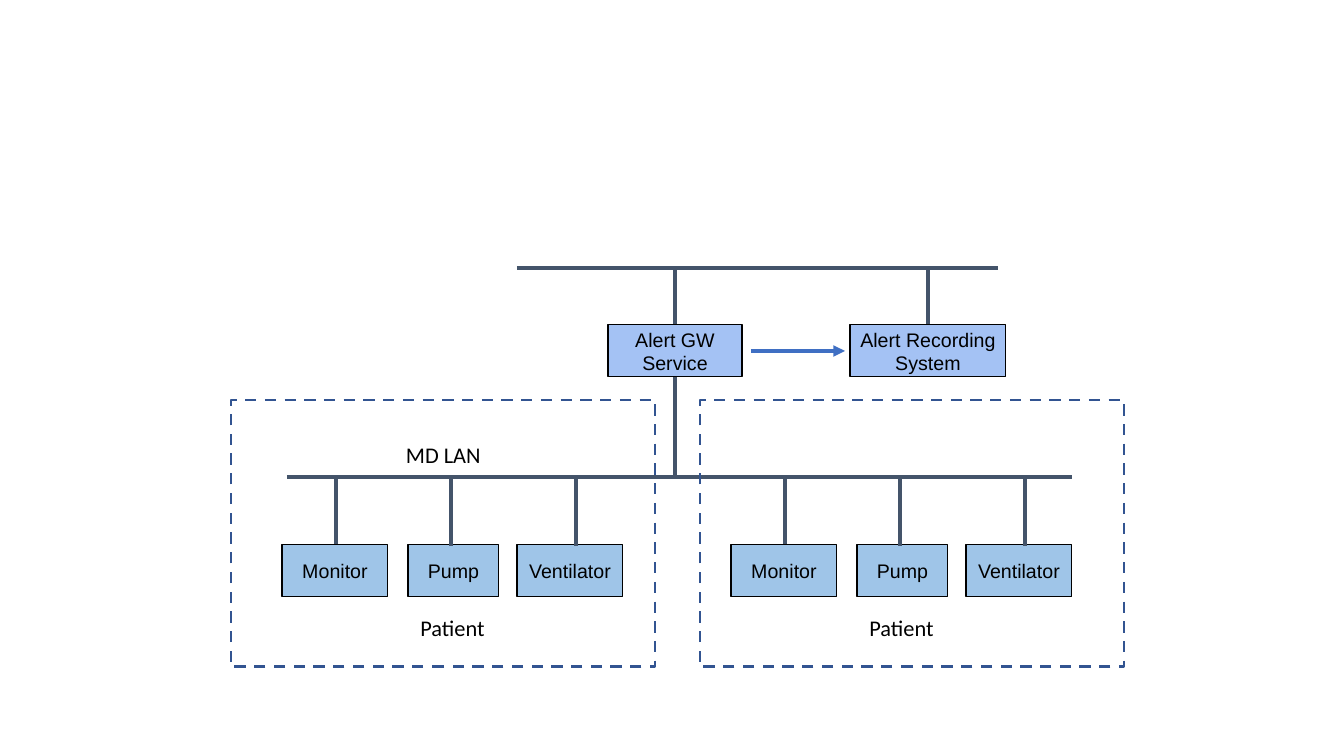
import dataclasses
import lxml.etree
import pptx
import pptx.dml.color
import pptx.enum.dml
import pptx.enum.shapes
import pptx.enum.text
import pptx.oxml.ns
import pptx.util

SCALE = 914400 / 100.8
ALIGN = pptx.enum.text.PP_ALIGN
RECT = pptx.enum.shapes.MSO_SHAPE.RECTANGLE


@dataclasses.dataclass(frozen=True)
class Theme:
    """Hold the colours, fonts and sizes of the slide."""
    ink: str = "000000"
    wire: str = "44546A"
    arrow: str = "3F6FC3"
    zone: str = "325491"
    device: str = "9FC5E8"
    server: str = "A4C2F4"
    node_font: str = "Arial"
    note_font: str = "Calibri"
    node_size: float = 14
    note_size: float = 16
    edge: float = 0.75
    zone_edge: float = 2
    wire_edge: float = 2.25
    arrow_edge: float = 2.75


THEME = Theme()


def emu(*sizes):
    """Turn pixels into EMU."""
    return [pptx.util.Emu(round(size * SCALE)) for size in sizes]


def rgb(code):
    """Make a colour from its hex code."""
    return pptx.dml.color.RGBColor.from_string(code)


def write(shape, text, font, size, align):
    """Set the text of a shape and format it."""
    frame = shape.text_frame
    frame.word_wrap = True
    frame.text = text
    para = frame.paragraphs[0]
    para.alignment = align
    run = para.runs[0]
    run.font.name = font
    run.font.size = pptx.util.Pt(size)
    run.font.color.rgb = rgb(THEME.ink)


def node(slide, box, text, fill):
    """Add a filled box with a centred name."""
    shape = slide.shapes.add_shape(RECT, *emu(*box))
    shape.shadow.inherit = False
    shape.fill.solid()
    shape.fill.fore_color.rgb = rgb(fill)
    shape.line.color.rgb = rgb(THEME.ink)
    shape.line.width = pptx.util.Pt(THEME.edge)
    write(shape, text, THEME.node_font, THEME.node_size, ALIGN.CENTER)
    frame = shape.text_frame
    frame.vertical_anchor = pptx.enum.text.MSO_ANCHOR.MIDDLE
    frame.margin_left = frame.margin_right = pptx.util.Inches(0.1)
    frame.margin_top = frame.margin_bottom = pptx.util.Inches(0.1)


def note(slide, box, text, align):
    """Add a free label."""
    shape = slide.shapes.add_textbox(*emu(*box))
    write(shape, text, THEME.note_font, THEME.note_size, align)


def wire(slide, start, end, color=THEME.wire, width=THEME.wire_edge):
    """Add a straight line and return it."""
    kind = pptx.enum.shapes.MSO_CONNECTOR.STRAIGHT
    line = slide.shapes.add_connector(kind, *emu(*start, *end))
    line.line.color.rgb = rgb(color)
    line.line.width = pptx.util.Pt(width)
    props = line._element.spPr
    lxml.etree.SubElement(props, pptx.oxml.ns.qn("a:effectLst"))
    return line


def arrow(slide, start, end):
    """Add a line with a triangle head at its end."""
    line = wire(slide, start, end, THEME.arrow, THEME.arrow_edge)
    edge = line.line._get_or_add_ln()
    tip = pptx.oxml.ns.qn("a:tailEnd")
    lxml.etree.SubElement(edge, tip, type="triangle")


def zone(slide, box):
    """Add the dashed frame around a patient."""
    shape = slide.shapes.add_shape(RECT, *emu(*box))
    shape.shadow.inherit = False
    shape.fill.background()
    shape.line.color.rgb = rgb(THEME.zone)
    shape.line.width = pptx.util.Pt(THEME.zone_edge)
    shape.line.dash_style = pptx.enum.dml.MSO_LINE.DASH


def devices(slide, box):
    """Add the devices of a patient with their taps and label."""
    left, top, width, height = box
    parts = [("Monitor", 0, 106, 54, 0), ("Pump", 126, 91, 169, 1),
             ("Ventilator", 235, 106, 294, 1)]
    for name, shift, wide, tap, drop in parts:
        node(slide, (left + shift, top + 70, wide, 52), name, THEME.device)
        wire(slide, (left + tap, top + 69 + 2 * drop),
             (left + tap, top + drop))
    wide, high = 174, 37
    note(slide, (left + (width - wide) / 2, top + height - high, wide, high),
         "Patient", ALIGN.CENTER)


def lan(slide, box):
    """Add the device network line and its name."""
    left, top, width, height = box
    base = top + height
    wire(slide, (left, base), (left + width, base))
    note(slide, (left + 109, top, 231, 37), "MD LAN", ALIGN.LEFT)


def alerts(slide, box):
    """Add the alert network with its servers and the link down."""
    left, top, width, height = box
    row, high = top + 57, 52
    gate, store = left + 158, left + 411
    wire(slide, (gate, top + height), (gate, top))
    wire(slide, (store, row), (store, top))
    wire(slide, (left, top), (left + width, top))
    for mid, wide, name in [(gate, 134, "Alert GW Service"),
                            (store, 156, "Alert Recording System")]:
        node(slide, (mid - wide / 2, row, wide, high), name, THEME.server)
    level = row + high / 2
    arrow(slide, (gate + 76, level), (store - 83, level))


def main():
    """Build the slide and save it."""
    deck = pptx.Presentation()
    deck.slide_width, deck.slide_height = emu(1344, 756)
    slide = deck.slides.add_slide(deck.slide_layouts[6])
    lan(slide, (287, 436, 785, 41))
    for left in (282, 731):
        devices(slide, (left, 475, 341, 171))
    for left in (231, 700):
        zone(slide, (left, 400, 424, 267))
    alerts(slide, (517, 268, 481, 210))
    deck.save("out.pptx")


main()
